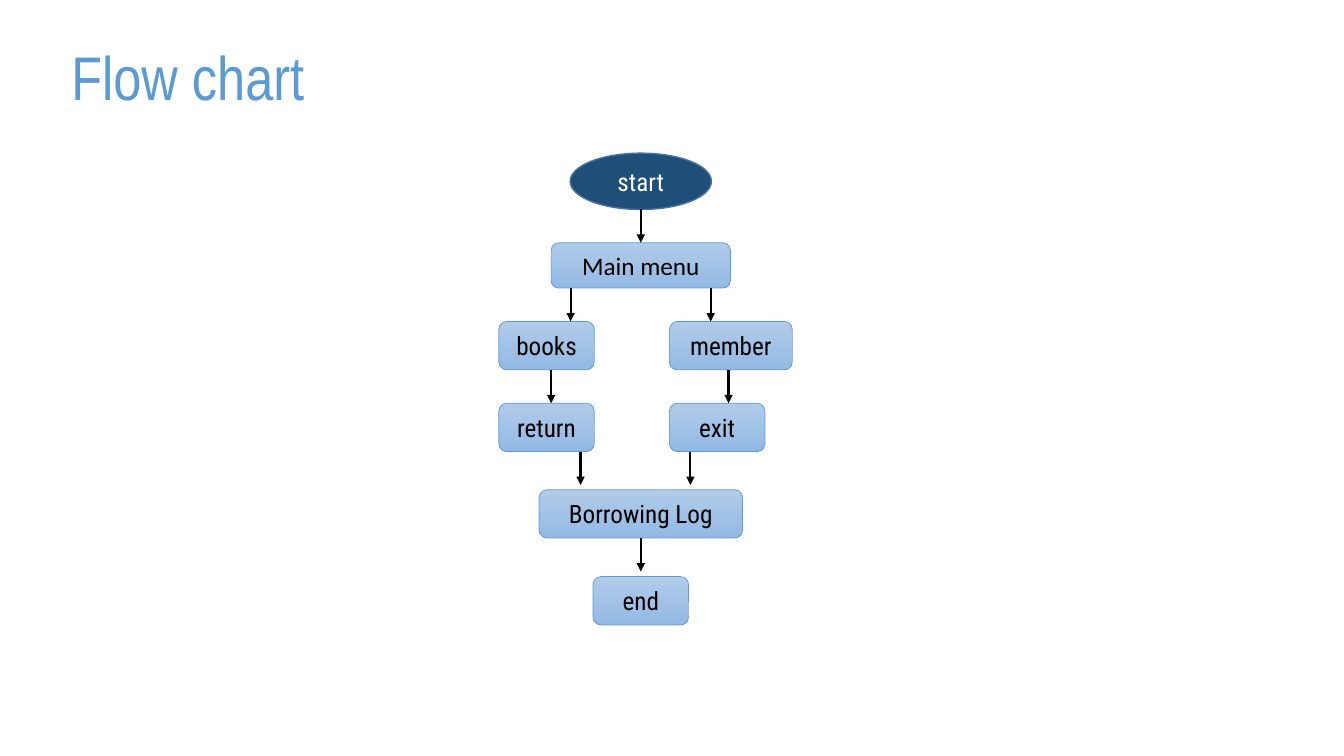
import dataclasses

import lxml.etree
import pptx
import pptx.dml.color
import pptx.enum.shapes
import pptx.enum.text
import pptx.oxml.ns
import pptx.util

Cm = pptx.util.Cm
Pt = pptx.util.Pt
SHAPES = pptx.enum.shapes.MSO_SHAPE
ALIGN = pptx.enum.text.PP_ALIGN


def rgb(code):
    return pptx.dml.color.RGBColor.from_string(code)


@dataclasses.dataclass(frozen=True)
class Theme:
    title_color: str = "5B9BD5"
    start_fill: str = "1F4E79"
    start_line: str = "43739E"
    start_text: str = "FFFFFF"
    step_top: str = "B1CBE9"
    step_bottom: str = "93B9E4"
    step_line: str = "5B9BD5"
    step_text: str = "000000"
    arrow_color: str = "000000"
    title_font: str = "Arial Narrow"
    step_font: str = "Roboto Condensed"
    menu_font: str = "Calibri"
    title_size: int = 44
    step_size: int = 18


class FlowSlide:
    """Draws flow chart elements on one slide; all lengths are in centimetres."""

    def __init__(self, slide, theme):
        self.shapes = slide.shapes
        self.theme = theme

    def add_text(self, shape, text, font, size, color, align):
        frame = shape.text_frame
        frame.word_wrap = True
        frame.vertical_anchor = pptx.enum.text.MSO_ANCHOR.MIDDLE
        paragraph = frame.paragraphs[0]
        paragraph.alignment = align
        run = paragraph.add_run()
        run.text = text
        run.font.name = font
        run.font.size = Pt(size)
        run.font.color.rgb = rgb(color)
        return paragraph

    def title(self, text, left, top, width, height):
        box = self.shapes.add_textbox(Cm(left), Cm(top), Cm(width), Cm(height))
        paragraph = self.add_text(box, text, self.theme.title_font, self.theme.title_size,
                                  self.theme.title_color, ALIGN.LEFT)
        paragraph.line_spacing = 0.9

    def node(self, kind, text, left, top, width, height, line, line_width, color, font):
        shape = self.shapes.add_shape(kind, Cm(left), Cm(top), Cm(width), Cm(height))
        shape.shadow.inherit = False
        shape.line.color.rgb = rgb(line)
        shape.line.width = Pt(line_width)
        self.add_text(shape, text, font, self.theme.step_size, color, ALIGN.CENTER)
        return shape

    def start(self, text, left, top, width, height):
        theme = self.theme
        oval = self.node(SHAPES.OVAL, text, left, top, width, height,
                         theme.start_line, 1, theme.start_text, theme.step_font)
        oval.fill.solid()
        oval.fill.fore_color.rgb = rgb(theme.start_fill)

    def step(self, text, left, top, width, height, font=None):
        theme = self.theme
        box = self.node(SHAPES.ROUNDED_RECTANGLE, text, left, top, width, height,
                        theme.step_line, 0.5, theme.step_text, font or theme.step_font)
        box.fill.gradient()
        box.fill.gradient_angle = 270
        for stop, color in zip(box.fill.gradient_stops, (theme.step_top, theme.step_bottom)):
            stop.color.rgb = rgb(color)

    def arrow_down(self, x, top, length):
        arrow = self.shapes.add_connector(pptx.enum.shapes.MSO_CONNECTOR.STRAIGHT,
                                          Cm(x), Cm(top), Cm(x), Cm(top + length))
        arrow.line.color.rgb = rgb(self.theme.arrow_color)
        arrow.line.width = Pt(1.5)
        qn = pptx.oxml.ns.qn
        properties = arrow.element.spPr
        lxml.etree.SubElement(properties.get_or_add_ln(), qn("a:tailEnd"), type="triangle")
        lxml.etree.SubElement(properties, qn("a:effectLst"))


def main():
    deck = pptx.Presentation()
    deck.slide_width, deck.slide_height = Cm(33.87), Cm(19.05)
    theme = Theme()
    flow = FlowSlide(deck.slides.add_slide(deck.slide_layouts[6]), theme)

    axis, left_column, right_column = 16.15, 12.57, 16.87
    start_top, menu_top, choice_top, action_top, log_top, end_top = (
        3.86, 6.12, 8.1, 10.16, 12.34, 14.53)
    start_width, start_height = 3.56, 1.42
    menu_width, menu_height = 4.52, 1.14
    log_width = 5.13
    step_width, step_height = 2.41, 1.22

    flow.title("Flow chart", 1.55, 0.18, 29.21, 3.68)
    flow.start("start", axis - start_width / 2, start_top, start_width, start_height)
    flow.step("Main menu", axis - menu_width / 2, menu_top, menu_width, menu_height,
              theme.menu_font)
    for label, left, top, width in (
        ("books", left_column, choice_top, step_width),
        ("member", right_column, choice_top, 3.1),
        ("return", left_column, action_top, step_width),
        ("exit", right_column, action_top, step_width),
        ("Borrowing Log", axis - log_width / 2, log_top, log_width),
        ("end", axis - step_width / 2, end_top, step_width),
    ):
        flow.step(label, left, top, width, step_height)

    for source_bottom, positions in (
        (start_top + start_height, (axis,)),
        (menu_top + menu_height, (14.38, 17.91)),
        (choice_top + step_height, (13.89, 18.36)),
        (action_top + step_height, (14.63, 17.4)),
        (log_top + step_height, (axis,)),
    ):
        for x in positions:
            flow.arrow_down(x, source_bottom, 0.84)

    deck.save("out.pptx")


if __name__ == "__main__":
    main()
